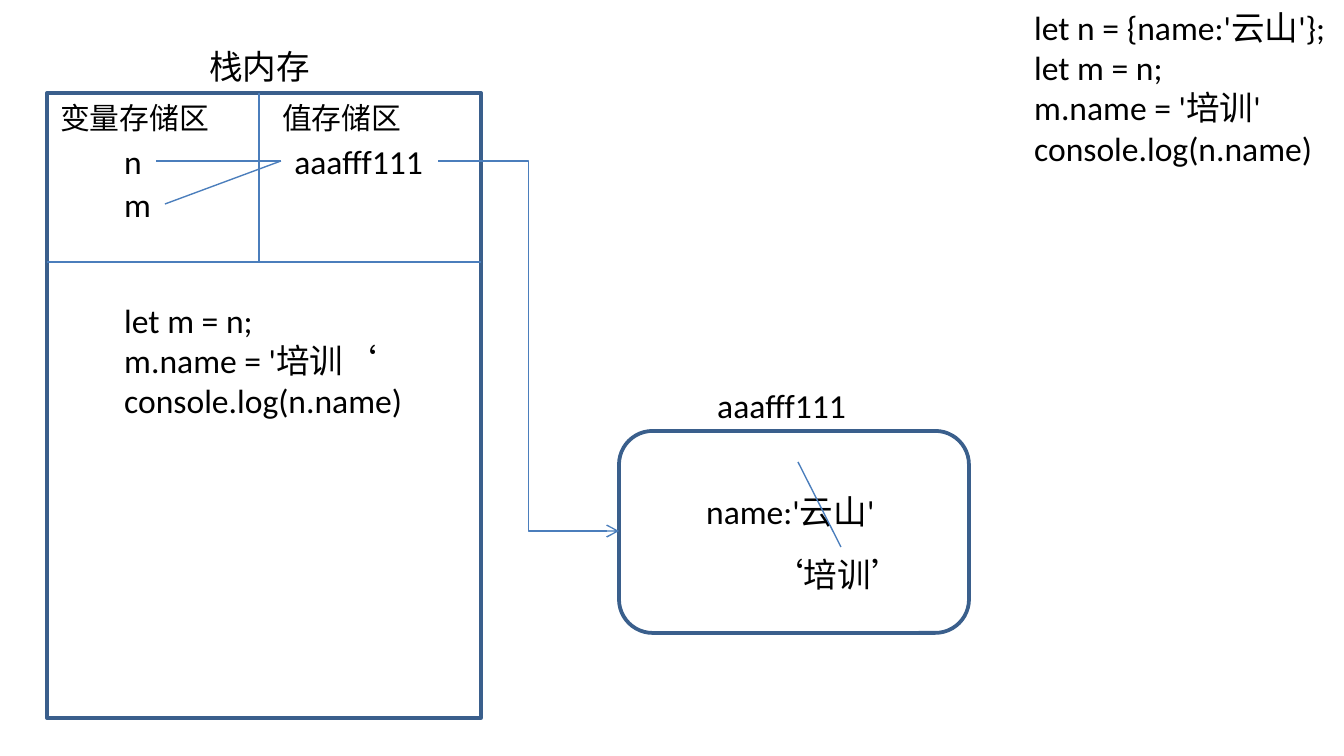
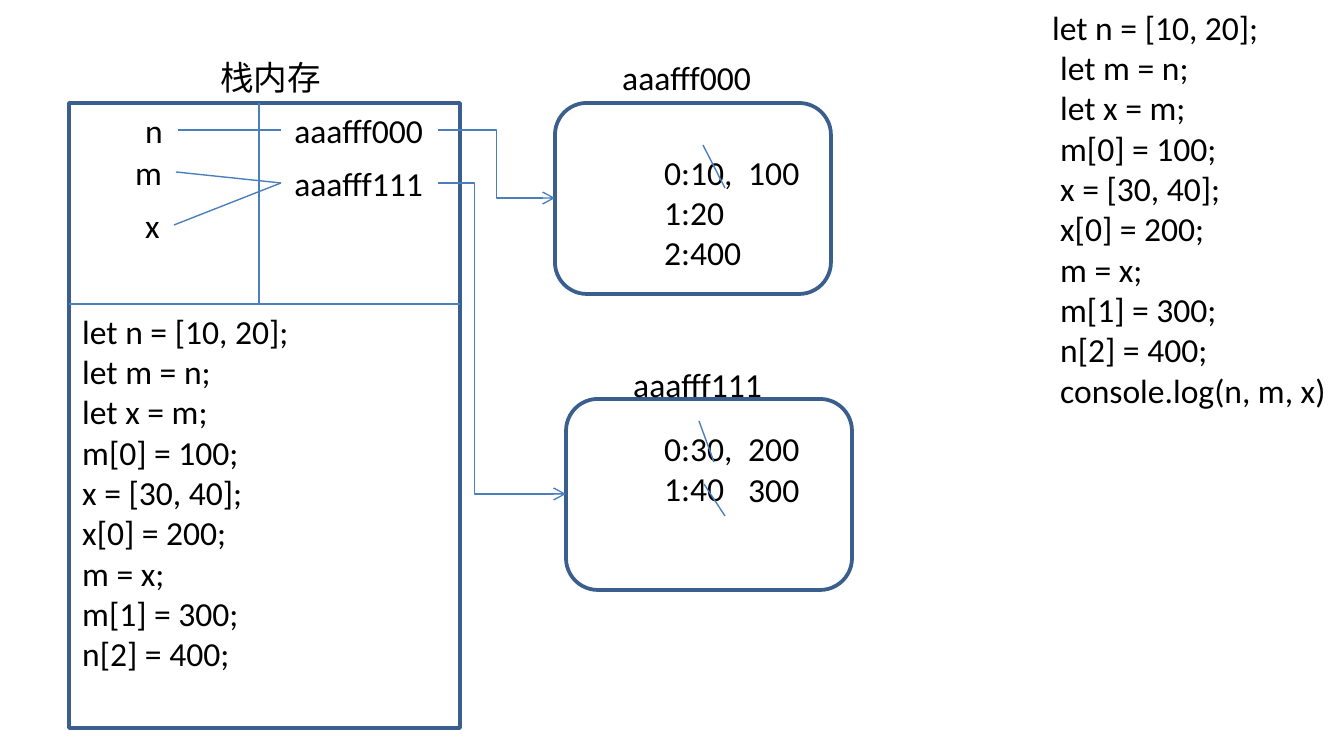
from pptx import Presentation
from pptx import util as u
from pptx.dml.color import RGBColor
from pptx.enum import shapes, text
from pptx.oxml.ns import qn
from lxml import etree

PX = 914400 / 134.4
COLORS = {"paper": "FFFFFF", "frame": "3A5F8C", "link": "4B7EBC", "ink": "000000"}
RECT = shapes.MSO_SHAPE.RECTANGLE
ROUND = shapes.MSO_SHAPE.ROUNDED_RECTANGLE
FRAME_WIDTH, LINK_WIDTH = u.Pt(2), u.Pt(0.75)
FONT = {"name": "Calibri", "size": u.Pt(18)}
LABEL_H = 54
ADDRESS_W = 157
VALUE_X = 281
SPLIT_X = 259
HEADER_TAB = 222


def px(*values):
    return [u.Emu(round(v * PX)) for v in values]


def rgb(name):
    return RGBColor.from_string(COLORS[name])


array_code = [
    "let n = [10, 20];", "let m = n;", "let x = m;", "m[0] = 100;", "x = [30, 40];",
    "x[0] = 200;", "m = x;", "m[1] = 300;", "n[2] = 400;",
]
rename_code = ["let m = n;", "m.name = '培训'", "console.log(n.name)"]

slides = [
    {
        "frames": [(RECT, 47, 93, 434, 625), (ROUND, 619, 431, 350, 202)],
        "header": (47, 93, 380, 50, ["变量存储区\t值存储区"]),
        "labels": [
            (196, 39, 129, LABEL_H, ["栈内存"]),
            (1021, 0, 323, 218, ["let n = {name:'云山'};"] + rename_code),
            (111, 134, 46, LABEL_H, ["n"]),
            (111, 177, 54, LABEL_H, ["m"]),
            (VALUE_X, 134, ADDRESS_W, LABEL_H, ["aaafff111"]),
            (704, 378, ADDRESS_W, LABEL_H, ["aaafff111"]),
            (693, 484, 198, LABEL_H, ["name:'云山'"]),
            (111, 293, 308, 258, [rename_code[0], "m.name = '培训‘", rename_code[2]]),
            (757, 547, 163, LABEL_H, ["‘培训’"]),
        ],
        "lines": [
            (47, 262, 481, 262),
            (SPLIT_X, 93, SPLIT_X, 262),
            (VALUE_X, 161, 156, 161),
            (VALUE_X, 161, 165, 204),
            (798, 462, 841, 547),
        ],
        "arrows": [(438, 161, 619, 531, 50000)],
        "indented": [],
    },
    {
        "frames": [
            (RECT, 69, 103, 391, 625),
            (ROUND, 555, 103, 276, 191),
            (ROUND, 566, 399, 286, 191),
        ],
        "header": None,
        "labels": [
            (207, 50, 129, LABEL_H, ["栈内存"]),
            (132, 103, 46, LABEL_H, ["n"]),
            (122, 145, 54, LABEL_H, ["m"]),
            (132, 198, 42, LABEL_H, ["x"]),
            (VALUE_X, 103, ADDRESS_W, LABEL_H, ["aaafff000"]),
            (VALUE_X, 156, ADDRESS_W, LABEL_H, ["aaafff111"]),
            (609, 50, ADDRESS_W, LABEL_H, ["aaafff000"]),
            (620, 357, ADDRESS_W, LABEL_H, ["aaafff111"]),
            (651, 145, 105, 136, ["0:10,", "1:20", "2:400"]),
            (651, 421, 97, 95, ["0:30,", "1:40"]),
            (735, 145, 79, LABEL_H, ["100"]),
            (735, 421, 79, LABEL_H, ["200"]),
            (735, 462, 79, LABEL_H, ["300"]),
            (69, 304, 237, 380, array_code),
        ],
        "lines": [
            (69, 304, 460, 304),
            (SPLIT_X, 103, SPLIT_X, 304),
            (178, 130, VALUE_X, 130),
            (VALUE_X, 183, 176, 172),
            (174, 225, VALUE_X, 183),
            (703, 145, 725, 188),
            (699, 421, 714, 462),
            (725, 516, 704, 484),
        ],
        "arrows": [(438, 130, 555, 198, 50000), (438, 183, 566, 494, 28700)],
        "indented": [(1017, 0, 327, 461, array_code + ["console.log(n, m, x)"])],
    },
]

prs = Presentation()
prs.slide_width, prs.slide_height = px(1344, 756)

for content in slides:
    s = prs.slides.add_slide(prs.slide_layouts[6])

    for kind, *box in content["frames"]:
        sp = s.shapes.add_shape(kind, *px(*box))
        sp.shadow.inherit = False
        sp.fill.solid()
        sp.fill.fore_color.rgb = rgb("paper")
        sp.line.color.rgb = rgb("frame")
        sp.line.width = FRAME_WIDTH

    headers = [content["header"]] if content["header"] else []
    for label in headers + content["labels"] + content["indented"]:
        *box, rows = label
        is_header = label in headers
        tf = s.shapes.add_textbox(*px(*box)).text_frame
        layout = {"word_wrap": is_header, "auto_size": text.MSO_AUTO_SIZE.SHAPE_TO_FIT_TEXT}
        for key, value in layout.items():
            setattr(tf, key, value)
        for i, row in enumerate(rows):
            p = tf.paragraphs[0] if i == 0 else tf.add_paragraph()
            r = p.add_run()
            r.text = row
            for key, value in FONT.items():
                setattr(r.font, key, value)
            r.font.color.rgb = rgb("ink")
            pPr = p._p.get_or_add_pPr()
            if is_header:
                r.font.size = u.Pt(16)
                tabs = etree.SubElement(pPr, qn("a:tabLst"))
                etree.SubElement(tabs, qn("a:tab"), pos=str(px(HEADER_TAB)[0]), algn="l")
            if label in content["indented"]:
                pPr.set("marL", str(px(22 if i == 0 else 30)[0]))
                pPr.set("indent", "0")

    for *ends, bend in [(*line, None) for line in content["lines"]] + content["arrows"]:
        kind = shapes.MSO_CONNECTOR.ELBOW if bend else shapes.MSO_CONNECTOR.STRAIGHT
        link = s.shapes.add_connector(kind, *px(*ends))
        link.line.color.rgb = rgb("link")
        link.line.width = LINK_WIDTH
        spPr = link._element.spPr
        if bend:
            guides = spPr.find(qn("a:prstGeom")).find(qn("a:avLst"))
            etree.SubElement(guides, qn("a:gd"), name="adj1", fmla=f"val {bend}")
            etree.SubElement(spPr.find(qn("a:ln")), qn("a:tailEnd"), type="arrow")
        etree.SubElement(spPr, qn("a:effectLst"))

prs.save("out.pptx")
